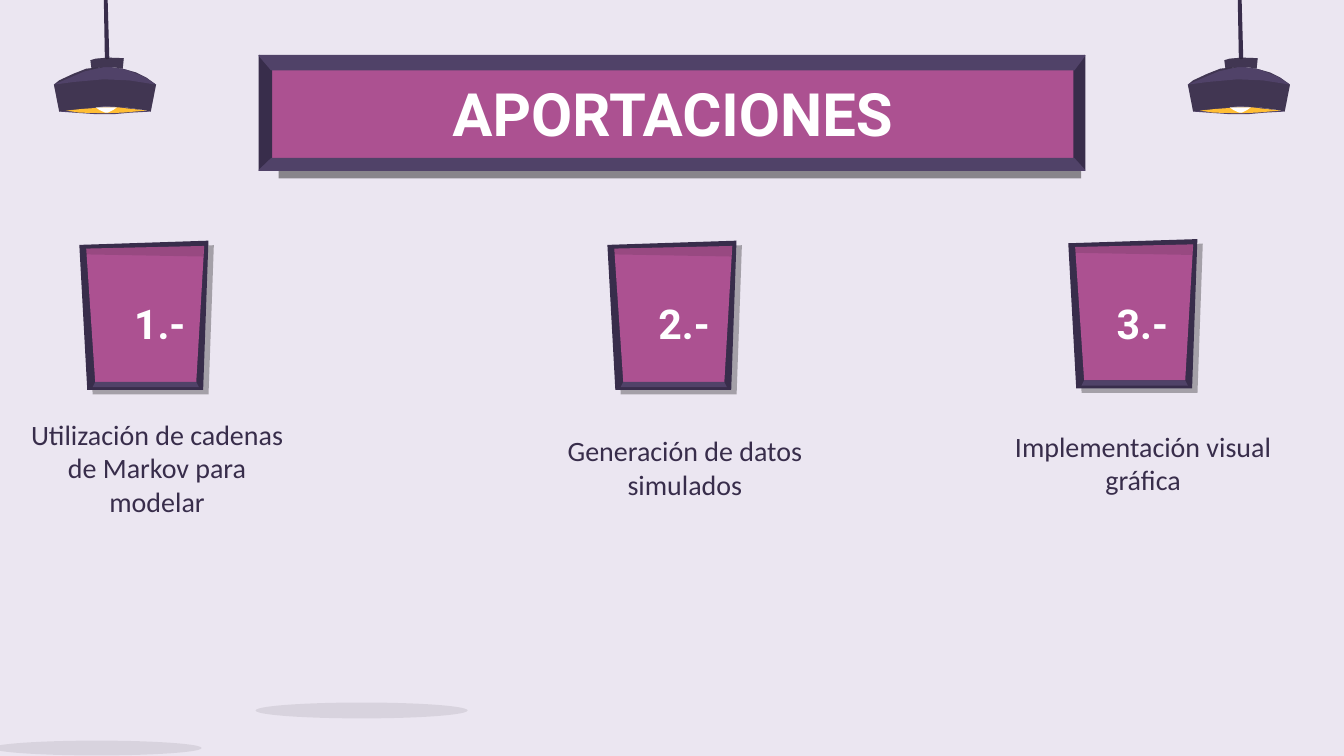
from lxml import etree
from pptx import Presentation
from pptx.dml.color import RGBColor
from pptx.enum.shapes import MSO_SHAPE
from pptx.enum.text import MSO_ANCHOR, PP_ALIGN
from pptx.oxml.ns import qn
from pptx.util import Cm, Pt

OVAL = MSO_SHAPE.OVAL
MIDDLE = MSO_ANCHOR.MIDDLE
CENTER = PP_ALIGN.CENTER

DARK, PURPLE, PINK = "382D4B", "504268", "AC5191"
WHITE, AMBER, SHADE, BLACK = "FFFFFF", "FFBE34", "191919", "000000"

# Lamp outlines, in cm from the left edge of the lamp
HOOD = [(.89, 1.27), (.61, 1.3), (.36, 1.4), (.1, 1.52), (0, 1.6), (.1, 2.11),
        (.48, 2.06), (.97, 2.01), (1.35, 2.03), (1.7, 2.08), (1.83, 2.11),
        (1.93, 1.6), (1.75, 1.47), (1.55, 1.37), (1.3, 1.3), (1.04, 1.27)]
RIM = [(.97, 2.01), (.48, 2.03), (.1, 2.11), (.38, 2.13), (.81, 2.16),
       (1.12, 2.16), (1.45, 2.13), (1.83, 2.11), (1.55, 2.06), (1.24, 2.01)]
LIGHT = [(.97, 2.03), (.53, 2.06), (.23, 2.09), (.48, 2.13), (.97, 2.14),
         (1.3, 2.13), (1.75, 2.09), (1.37, 2.05), (1.22, 2.03)]
NECK = [(1.02, 1.09), (.79, 1.11), (.69, 1.14), (.71, 1.3), (.91, 1.27),
        (1.12, 1.27), (1.3, 1.3), (1.32, 1.1)]
CORD = [(.97, 0), (.99, 1.09), (1.02, 1.09), (.99, 0)]
BULB = [(.79, 2.03), (.86, 2.08), (.97, 2.13), (1.02, 2.13), (1.12, 2.08),
        (1.19, 2.03)]
CROWN = [(.94, 1.27), (.58, 1.35), (.3, 1.47), (0, 1.6), (.38, 1.55),
         (.94, 1.5), (1.42, 1.52), (1.93, 1.6), (1.7, 1.45), (1.37, 1.32),
         (1.09, 1.27)]

# Card outlines, in cm from the top left of the card
FRAME = [(2.44, 0), (0, .08), (.15, 2.82), (2.34, 2.82)]
PANEL = [(2.36, .1), (.13, .15), (.3, 2.67), (2.21, 2.67)]
LEDGE = [(.3, 2.67), (.25, 2.77), (2.26, 2.77), (2.21, 2.67)]
BAND = [(2.36, .1), (.13, .15), (.13, .26), (2.34, .3)]


def rgb(code):
    return RGBColor.from_string(code)


def fade(color, alpha):
    node = etree.SubElement(color, qn("a:alpha"))
    node.set("val", str(alpha * 1000))


class Deck:
    def __init__(self, wide, high, back):
        self.prs = Presentation()
        self.prs.slide_width, self.prs.slide_height = Cm(wide), Cm(high)
        self.slide = self.prs.slides.add_slide(self.prs.slide_layouts[6])
        self.shapes = self.slide.shapes
        fill = self.slide.background.fill
        fill.solid()
        fill.fore_color.rgb = rgb(back)

    def paint(self, shape, color, alpha=100, line=None):
        shape.shadow.inherit = False
        shape.fill.solid()
        shape.fill.fore_color.rgb = rgb(color)
        if alpha < 100:
            fade(shape.element.spPr.find(".//" + qn("a:srgbClr")), alpha)
        if line:
            shape.line.color.rgb = rgb(color)
            shape.line.width = Pt(line)
        else:
            shape.line.fill.background()

    def shadow(self, shape, alpha, dist, angle):
        effects = shape.element.spPr.find(qn("a:effectLst"))
        cast = etree.SubElement(effects, qn("a:outerShdw"), blurRad="0",
                                dist=str(Pt(dist)), dir=str(angle * 60000),
                                algn="bl", rotWithShape="0")
        fade(etree.SubElement(cast, qn("a:srgbClr"), val=BLACK), alpha)

    def poly(self, points, color, x=0, y=0, **look):
        spots = [(Cm(x + a), Cm(y + b)) for a, b in points]
        pen = self.shapes.build_freeform(*spots[0])
        pen.add_line_segments(spots[1:], close=True)
        shape = pen.convert_to_shape()
        self.paint(shape, color, **look)
        return shape

    def oval(self, *box):
        shape = self.shapes.add_shape(OVAL, *map(Cm, box))
        self.paint(shape, BLACK, alpha=8)

    def text(self, words, box, size=15, font="Calibri", color=DARK, bold=False):
        frame = self.shapes.add_textbox(*map(Cm, box)).text_frame
        frame.word_wrap = True
        frame.vertical_anchor = MIDDLE
        frame.margin_left = frame.margin_right = Cm(.25)
        frame.margin_top = frame.margin_bottom = Cm(.25)
        para = frame.paragraphs[0]
        para.alignment = CENTER
        run = para.add_run()
        run.text = words
        run.font.size, run.font.name, run.font.bold = Pt(size), font, bold
        run.font.color.rgb = rgb(color)

    def head(self, words, box, size):
        self.text(words, box, size=size, font="Roboto", color=WHITE, bold=True)

    def lamp(self, x):
        for part, color in ((HOOD, PURPLE), (RIM, PURPLE), (LIGHT, AMBER),
                            (NECK, PURPLE)):
            self.poly(part, color, x)
        self.poly(CORD, DARK, x, line=1.5)
        self.poly(BULB, WHITE, x)
        self.poly(HOOD, SHADE, x, alpha=27)
        self.poly(CROWN, PURPLE, x)
        self.poly(NECK, SHADE, x, alpha=27)

    def sign(self, outer, inner):
        (l, t, r, b), (il, it, ir, ib) = outer, inner
        nw, ne, se, sw = (l, t), (r, t), (r, b), (l, b)
        inw, ine, ise, isw = (il, it), (ir, it), (ir, ib), (il, ib)
        board = self.poly([inw, isw, ise, ine], PINK)
        self.shadow(board, 41, 11.2, 70)
        for side, color in (([nw, sw, isw, inw], DARK),
                            ([ne, ine, ise, se], DARK),
                            ([sw, isw, ise, se], PURPLE),
                            ([nw, inw, ine, ne], PURPLE)):
            self.poly(side, color, line=.75)

    def card(self, x, y):
        self.shadow(self.poly(FRAME, DARK, x, y), 30, 3.8, 40)
        self.poly(PANEL, PINK, x, y)
        self.poly(LEDGE, PURPLE, x, y)
        self.poly(BAND, SHADE, x, y, alpha=13)


def main():
    deck = Deck(25.4, 14.29, "EBE6F1")

    # Hanging lamps
    for x in (22.45, 1.02):
        deck.lamp(x)

    # Title sign
    deck.sign((4.9, 1.05, 20.5, 3.22), (5.13, 1.32, 20.3, 3))
    deck.head("APORTACIONES", (2.01, 1.5, 21.41, 1.27), 32)

    # Floor shadows
    deck.oval(-.15, 14, 3.96, .28)
    deck.oval(4.83, 13.28, 4.01, .3)

    # Numbered cards: card place, number left, caption box
    items = [
        ("Utilización de cadenas de Markov para modelar",
         (1.5, 4.55), -.79, (.2, 7.47, 5.54, 2.74)),
        ("Generación de datos simulados",
         (11.48, 4.55), 9.12, (10.06, 7.42, 5.77, 2.82)),
        ("Implementación visual gráfica",
         (20.19, 4.52), 17.78, (18.72, 7.34, 5.77, 2.82)),
    ]
    for num, (words, place, left, box) in enumerate(items, 1):
        deck.card(*place)
        deck.head(f"{num}.-", (left, 5.59, 7.62, 1.02), 22)
        deck.text(words, box)

    deck.prs.save("out.pptx")


if __name__ == "__main__":
    main()
